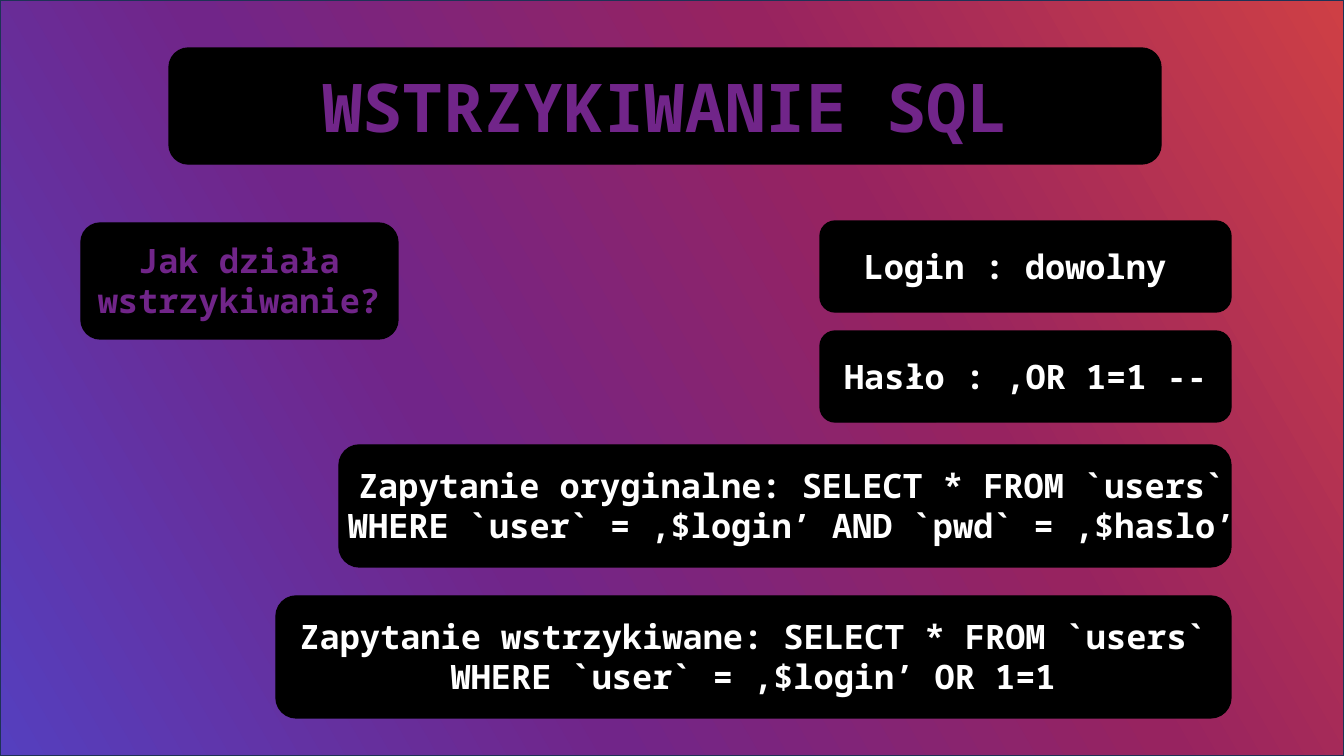
from copy import deepcopy

from pptx import Presentation
from pptx.dml.color import RGBColor
from pptx.enum.shapes import MSO_SHAPE
from pptx.enum.text import MSO_ANCHOR, MSO_AUTO_SIZE, PP_ALIGN
from pptx.oxml.ns import qn
from pptx.util import Pt

RECT, ROUND = MSO_SHAPE.RECTANGLE, MSO_SHAPE.ROUNDED_RECTANGLE
MIDDLE, TOP = MSO_ANCHOR.MIDDLE, MSO_ANCHOR.TOP
FIT, FIXED = MSO_AUTO_SIZE.SHAPE_TO_FIT_TEXT, MSO_AUTO_SIZE.NONE
CENTER = PP_ALIGN.CENTER

PX = 12192000 / 1344  # EMU per px
THEME = {
    "font": "Noto Sans Mono",
    "head": 48,
    "text": 24,
    "white": RGBColor.from_string("FFFFFF"),
    "black": RGBColor.from_string("000000"),
    "edge": RGBColor.from_string("1E3256"),
    "blend": [(0, "553FBE"), (0.35, "712589"), (0.66, "972360"), (1, "CE3F45")],
    "angle": 30,
}


def blend(fill, props):
    """Fill with the theme gradient; props is the XML parent of the fill."""
    fill.gradient()
    stops = props.find(qn("a:gradFill")).find(qn("a:gsLst"))
    while len(stops) < len(THEME["blend"]):
        stops.append(deepcopy(stops[0]))
    for stop, (place, color) in zip(fill.gradient_stops, THEME["blend"]):
        stop.position = place
        stop.color.rgb = RGBColor.from_string(color)
    fill.gradient_angle = THEME["angle"]


def write(box, text, size=THEME["text"], color=None, anchor=TOP, fit=FIT):
    """Write centred bold text; without a color it takes the gradient."""
    frame = box.text_frame
    frame.word_wrap = True
    frame.auto_size = fit
    frame.vertical_anchor = anchor
    para = frame.paragraphs[0]
    para.alignment = CENTER
    run = para.add_run()
    run.text = text
    font = run.font
    font.name, font.size, font.bold = THEME["font"], Pt(size), True
    if color is None:
        blend(font.fill, run._r.get_or_add_rPr())
    else:
        font.color.rgb = color


deck = Presentation()
deck.slide_width, deck.slide_height = round(1344 * PX), round(756 * PX)
slide = deck.slides.add_slide(deck.slide_layouts[5])
shapes = slide.shapes

# Backdrop
back = shapes.add_shape(RECT, 0, 0, deck.slide_width, deck.slide_height)
back.shadow.inherit = False
blend(back.fill, back._element.spPr)
back.line.color.rgb = THEME["edge"]
back.line.width = Pt(1)

# Black panels
head = (169, 48, 992, 116)
panels = [
    head,
    (820, 221, 411, 91),
    (820, 331, 411, 91),
    (339, 445, 892, 122),
    (276, 596, 955, 122),
    (81, 223, 317, 116),
]
for area in panels:
    panel = shapes.add_shape(ROUND, *[round(n * PX) for n in area])
    panel.shadow.inherit = False
    panel.fill.solid()
    panel.fill.fore_color.rgb = THEME["black"]
    panel.line.color.rgb = THEME["black"]
    panel.line.width = Pt(1)

# Title, raised above its panel
title = shapes.title
title.left, title.top, title.width, title.height = [round(n * PX) for n in head]
shapes._spTree.append(title._element)
write(title, "WSTRZYKIWANIE SQL", size=THEME["head"], anchor=MIDDLE, fit=FIXED)

# Question, login data and queries
white = THEME["white"]
texts = [
    ((802, 241, 446, 50), "Login : dowolny ", white),
    ((831, 351, 389, 50), "Hasło : ‚OR 1=1 --", white),
    ((329, 460, 925, 92),
     "Zapytanie oryginalne: SELECT * FROM `users` "
     "WHERE `user` = ‚$login’ AND `pwd` = ‚$haslo’", white),
    ((252, 611, 1002, 92),
     "Zapytanie wstrzykiwane: SELECT * FROM `users` "
     "WHERE `user` = ‚$login’ OR 1=1", white),
    ((16, 235, 446, 92), "Jak działa wstrzykiwanie?", None),
]
for area, text, color in texts:
    box = shapes.add_textbox(*[round(n * PX) for n in area])
    write(box, text, color=color)

deck.save("out.pptx")
